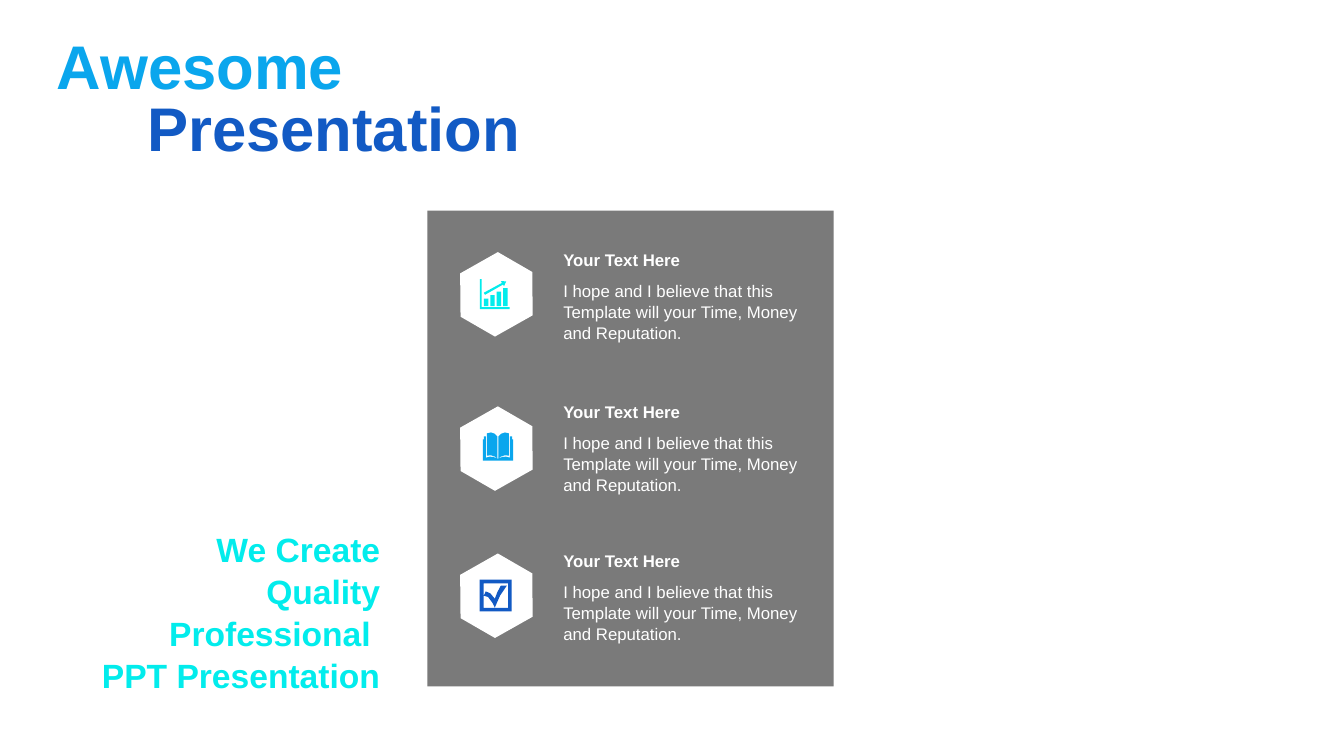
from dataclasses import dataclass

from lxml import etree
from pptx import Presentation
from pptx.dml.color import RGBColor
from pptx.enum.shapes import MSO_SHAPE
from pptx.enum.text import MSO_ANCHOR, MSO_AUTO_SIZE, PP_ALIGN
from pptx.oxml.ns import qn
from pptx.util import Pt

RECTANGLE, HEXAGON = MSO_SHAPE.RECTANGLE, MSO_SHAPE.HEXAGON
LEFT, CENTER, RIGHT = PP_ALIGN.LEFT, PP_ALIGN.CENTER, PP_ALIGN.RIGHT
TOP, MIDDLE = MSO_ANCHOR.TOP, MSO_ANCHOR.MIDDLE
NO_AUTOFIT = MSO_AUTO_SIZE.NONE

WHITE, GRAY = "FFFFFF", "595959"
CYAN, SKY, BLUE = "02ECEC", "0AA6ED", "125AC4"
FONT = "Arial"
HEADING = "Your Text Here"
BODY = "I hope and I believe that this Template will your Time, Money and Reputation."
SLOGAN = "We Create\nQuality Professional \nPPT Presentation"

Outline = list[tuple[float, float]]


@dataclass
class TextStyle:
    size: float
    color: str
    bold: bool = False
    align: PP_ALIGN = LEFT
    anchor: MSO_ANCHOR = TOP
    spacing: float = 1.0


@dataclass
class Feature:
    hexagon_top: float
    heading_top: float
    icon_left: float
    icon_top: float
    icon_color: str
    icon: list[Outline]


def paint(target, color: str) -> None:
    """Give a fill or a font the colour of a hex string."""
    if hasattr(target, "solid"):
        target.solid()
        target.fore_color.rgb = RGBColor.from_string(color)
    else:
        target.color.rgb = RGBColor.from_string(color)


def write(box, text: str, style: TextStyle) -> None:
    frame = box.text_frame
    frame.word_wrap = True
    frame.auto_size = NO_AUTOFIT
    frame.vertical_anchor = style.anchor
    frame.text = text
    for para in frame.paragraphs:
        para.alignment = style.align
        para.line_spacing = style.spacing
        for span in para.runs:
            span.font.name = FONT
            span.font.size = Pt(style.size)
            span.font.bold = style.bold
            paint(span.font, style.color)


def add_text(page, left: float, top: float, width: float, height: float,
             text: str, style: TextStyle):
    box = page.shapes.add_textbox(Pt(left), Pt(top), Pt(width), Pt(height))
    write(box, text, style)
    return box


def finish(shape, color: str) -> None:
    shape.shadow.inherit = False
    paint(shape.fill, color)
    shape.line.fill.background()


def add_plain_shape(page, kind: MSO_SHAPE, left: float, top: float,
                    width: float, height: float, color: str):
    shape = page.shapes.add_shape(kind, Pt(left), Pt(top), Pt(width), Pt(height))
    finish(shape, color)
    return shape


def add_icon(page, feature: Feature) -> None:
    builder = None
    for outline in feature.icon:
        points = [(Pt(feature.icon_left + x), Pt(feature.icon_top + y)) for x, y in outline]
        if builder is None:
            builder = page.shapes.build_freeform(*points[0], scale=1.0)
        else:
            builder.move_to(*points[0])
        builder.add_line_segments(points[1:], close=True)
    finish(builder.convert_to_shape(), feature.icon_color)


def rectangle(left: float, top: float, right: float, bottom: float) -> Outline:
    return [(left, top), (right, top), (right, bottom), (left, bottom)]


def mirrored(outline: Outline, width: float) -> Outline:
    return [(width - x, y) for x, y in reversed(outline)]


def chart_icon() -> list[Outline]:
    bars = [rectangle(2.9 + 4.6 * i, 13.9 - 2.5 * i, 6.1 + 4.6 * i, 19.3) for i in range(4)]
    arrow = [(15.1, 1.4), (18.9, 1.6), (17.3, 5), (16.6, 3.9), (3.7, 11.2), (2.9, 9.7), (15.8, 2.7)]
    axes = [(0, 0), (1.4, 0), (1.4, 20), (21.4, 20), (21.4, 21.4), (0, 21.4)]
    return bars + [arrow, axes]


def book_icon() -> list[Outline]:
    width = 21.6
    left_page = [(2.9, 0.7), (5.8, 0), (8.4, 0.9), (10.5, 3), (10.5, 18.6),
                 (8.6, 17.2), (5.8, 16.3), (2.9, 16.6)]
    left_cover = [(0, 20.2), (0, 5), (0.7, 5), (0.7, 2.9), (2.2, 2.9), (2.2, 18),
                  (5, 17.3), (7.5, 17.5), (10.8, 18.8)]
    return [left_page, mirrored(left_page, width), left_cover + mirrored(left_cover, width)]


def check_icon() -> list[Outline]:
    tick = [(2.9, 11.5), (4.3, 8.5), (7.5, 9.8), (10.8, 13.7), (12.6, 9), (15.1, 4.3),
            (19.4, 4.3), (14.5, 11.5), (10.8, 20), (9, 16.5), (6, 12.5)]
    inner_edge = rectangle(2.7, 2.7, 20.2, 20.2)[::-1]
    return [rectangle(0, 0, 22.8, 22.8), inner_edge, tick]


FEATURES = [
    Feature(183.6, 175, 342.7, 199.4, CYAN, chart_icon()),
    Feature(293.8, 283.7, 344.9, 308.9, SKY, book_icon()),
    Feature(398.9, 389.5, 342.7, 414, BLUE, check_icon()),
]


def main() -> None:
    deck = Presentation()
    deck.slide_width, deck.slide_height = Pt(960), Pt(540)
    page = deck.slides.add_slide(deck.slide_layouts[5])

    # Two-part title
    title = page.shapes.title
    title.left, title.top, title.width, title.height = Pt(97.9), Pt(69.1), Pt(297.4), Pt(50.4)
    write(title, "Presentation", TextStyle(44, BLUE, True, anchor=MIDDLE, spacing=0.9))
    add_text(page, 31.7, 15.8, 222.5, 60.5, "Awesome",
             TextStyle(44, SKY, True, CENTER, MIDDLE))

    # Translucent panel
    panel = add_plain_shape(page, RECTANGLE, 305.3, 150.5, 290.2, 339.8, GRAY)
    color_node = panel.fill._xPr.find(qn("a:solidFill"))[0]
    etree.SubElement(color_node, qn("a:alpha"), val="80000")

    # Features: hexagon, icon, heading and text
    for feature in FEATURES:
        hexagon = add_plain_shape(page, HEXAGON, 324.7, feature.hexagon_top, 59.8, 53.3, WHITE)
        hexagon.adjustments[0] = 0.295
        hexagon.adjustments[1] = 1.155
        hexagon.rotation = 30
        add_icon(page, feature)
        add_text(page, 395.3, feature.heading_top, 188, 21.6, HEADING,
                 TextStyle(12, WHITE, True))
        add_text(page, 395.3, feature.heading_top + 21.6, 189.4, 51.1, BODY,
                 TextStyle(12, WHITE, spacing=1.04))

    # Slogan
    slogan = add_text(page, 45.4, 376.6, 229, 116.6, SLOGAN,
                      TextStyle(24, CYAN, True, RIGHT, spacing=1.04))
    frame = slogan.text_frame
    frame.margin_left = frame.margin_right = Pt(2.9)
    frame.margin_top = frame.margin_bottom = Pt(0)

    deck.save("out.pptx")


if __name__ == "__main__":
    main()
